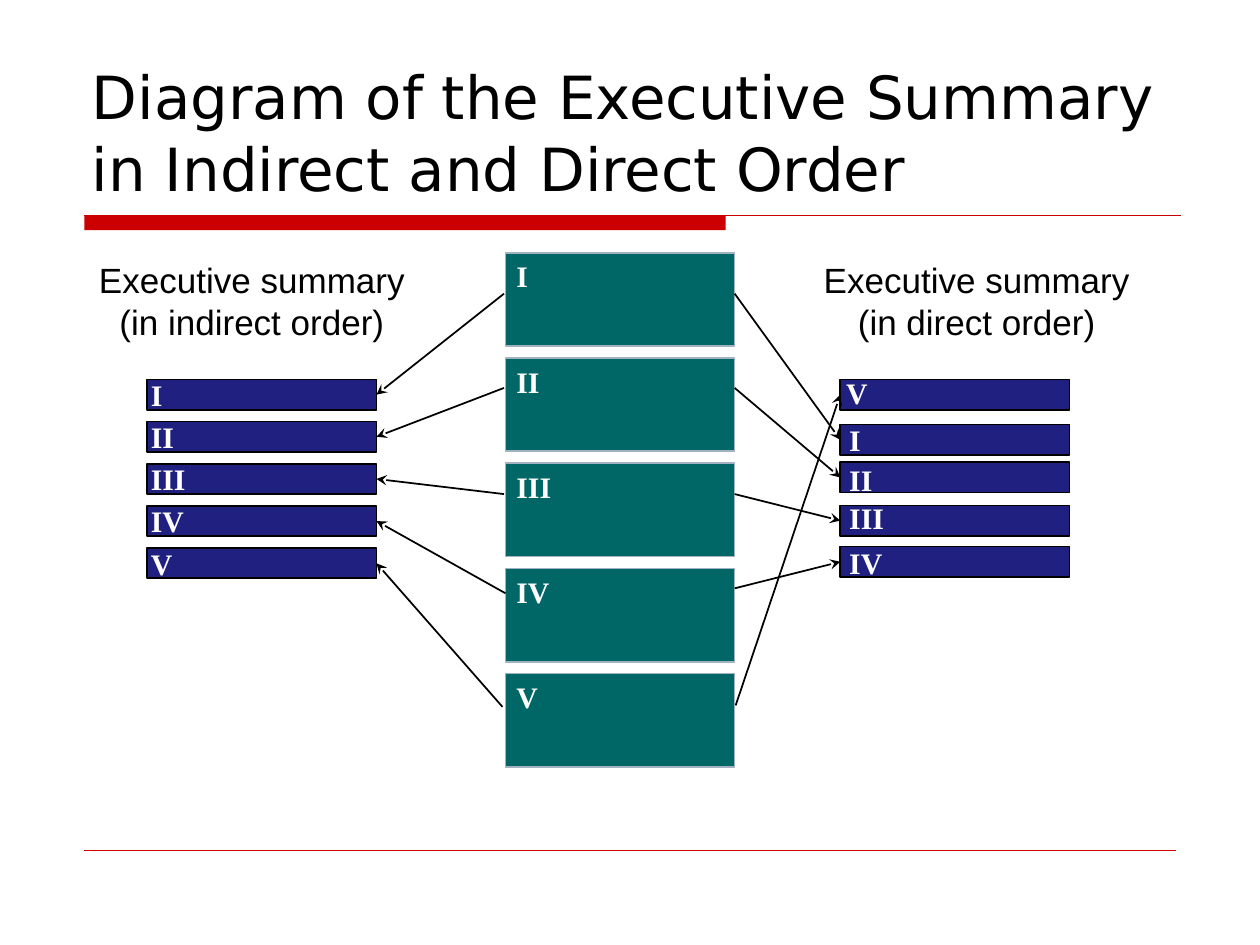
from typing import NamedTuple

from lxml import etree
from pptx import Presentation
from pptx.dml.color import RGBColor
from pptx.enum.shapes import MSO_CONNECTOR, MSO_SHAPE
from pptx.enum.text import MSO_ANCHOR, MSO_AUTO_SIZE, PP_ALIGN
from pptx.oxml.ns import qn
from pptx.util import Cm, Pt

STRAIGHT = MSO_CONNECTOR.STRAIGHT
RECTANGLE = MSO_SHAPE.RECTANGLE
BOTTOM = MSO_ANCHOR.BOTTOM
GROW, FIXED = MSO_AUTO_SIZE.SHAPE_TO_FIT_TEXT, MSO_AUTO_SIZE.NONE
LEFT, CENTER = PP_ALIGN.LEFT, PP_ALIGN.CENTER
LEFT_SIDE, RIGHT_SIDE = 1, 3

COLORS = {
    "rule": "CC0000",
    "report": "006666",
    "report_edge": "A3B2C1",
    "summary": "202080",
    "ink": "000000",
    "numeral": "FFFFFF",
}
NUMERALS = ["I", "II", "III", "IV", "V"]
SECTION_WIDTH, REPORT_HEIGHT, SUMMARY_HEIGHT = 4.62, 1.88, 0.61
REPORT_STEP, SUMMARY_STEP = 2.12, 0.85


class Section(NamedTuple):
    """A numbered block; lengths in centimetres."""
    numeral: str
    left: float
    top: float
    label_left: float
    label_top: float


class Arrow(NamedTuple):
    """Runs from a point beside the report to a summary section."""
    numeral: str
    start_x: float
    start_y: float


REPORT = [
    Section(numeral, 10.19, 5.1 + i * REPORT_STEP, 10.16, 5.08 + i * REPORT_STEP)
    for i, numeral in enumerate(NUMERALS)
]
INDIRECT = [
    Section(numeral, 2.97, 7.65 + i * SUMMARY_STEP, 2.79, 7.47 + i * SUMMARY_STEP)
    for i, numeral in enumerate(NUMERALS)
]
DIRECT = [
    Section("V", 16.94, 7.65, 16.81, 7.44),
    Section("I", 16.94, 8.56, 16.87, 8.38),
    Section("II", 16.94, 9.32, 16.87, 9.19),
    Section("III", 16.94, 10.19, 16.87, 9.96),
    Section("IV", 16.94, 11.02, 16.87, 10.85),
]
TO_INDIRECT = [
    Arrow("I", 10.16, 5.92),
    Arrow("II", 10.16, 7.82),
    Arrow("III", 10.16, 9.96),
    Arrow("IV", 10.19, 11.96),
    Arrow("V", 10.13, 14.25),
]
TO_DIRECT = [
    Arrow("V", 14.83, 14.22),
    Arrow("IV", 14.81, 11.86),
    Arrow("III", 14.81, 9.96),
    Arrow("II", 14.81, 7.82),
    Arrow("I", 14.81, 5.92),
]


def rgb(name: str) -> RGBColor:
    return RGBColor.from_string(COLORS[name])


def write(frame, text: str, *, font: str, size: float, color: str = "ink",
          bold: bool = False, align=LEFT, before: float = 0, auto_size=GROW) -> None:
    frame.word_wrap = True
    frame.auto_size = auto_size
    paragraph = frame.paragraphs[0]
    paragraph.text = text
    paragraph.alignment = align
    paragraph.space_before = Pt(before)
    for run in paragraph.runs:
        run.font.name = font
        run.font.size = Pt(size)
        run.font.bold = bold
        run.font.color.rgb = rgb(color)


def add_box(slide, left: float, top: float, width: float, height: float,
            fill: str, edge: str | None = None):
    box = slide.shapes.add_shape(RECTANGLE, Cm(left), Cm(top), Cm(width), Cm(height))
    box.shadow.inherit = False
    box.fill.solid()
    box.fill.fore_color.rgb = rgb(fill)
    if edge:
        box.line.color.rgb = rgb(edge)
        box.line.width = Pt(1)
    else:
        box.line.fill.background()
    return box


def add_line(slide, x1: float, y1: float, x2: float, y2: float,
             color: str, weight: float):
    line = slide.shapes.add_connector(STRAIGHT, Cm(x1), Cm(y1), Cm(x2), Cm(y2))
    line.line.color.rgb = rgb(color)
    line.line.width = Pt(weight)
    etree.SubElement(line._element.spPr, qn("a:effectLst"))
    return line


def add_sections(slide, sections: list[Section], height: float,
                 fill: str, edge: str) -> dict:
    """Draw numbered blocks and return them by numeral."""
    boxes = {}
    for section in sections:
        boxes[section.numeral] = add_box(
            slide, section.left, section.top, SECTION_WIDTH, height, fill, edge)
    for section in sections:
        label = slide.shapes.add_textbox(
            Cm(section.label_left), Cm(section.label_top), Cm(1.9), Cm(0.97))
        write(label.text_frame, section.numeral, font="Times New Roman", size=17,
              color="numeral", bold=True, before=10.6)
    return boxes


def add_arrows(slide, arrows: list[Arrow], targets: dict, side: int) -> None:
    for arrow in arrows:
        line = add_line(slide, arrow.start_x, arrow.start_y,
                        arrow.start_x, arrow.start_y, "ink", 1)
        line.end_connect(targets[arrow.numeral], side)
        etree.SubElement(line.line._get_or_add_ln(), qn("a:tailEnd"), type="stealth")


def add_heading(slide, text: str, left: float) -> None:
    heading = slide.shapes.add_textbox(Cm(left), Cm(5.08), Cm(7.62), Cm(1.96))
    write(heading.text_frame, text, font="Arial", size=20, align=CENTER, before=12.5)


def main() -> None:
    deck = Presentation()
    deck.slide_width, deck.slide_height = Cm(25.4), Cm(19.05)
    slide = deck.slides.add_slide(deck.slide_layouts[5])

    add_box(slide, 1.7, 4.34, 12.93, 0.3, "rule")
    add_line(slide, 1.7, 4.34, 23.8, 4.34, "rule", 0.75)
    add_line(slide, 1.7, 17.15, 23.7, 17.15, "rule", 0.25)

    title = slide.shapes.title
    title.left, title.top, title.width, title.height = Cm(1.6), Cm(0.84), Cm(22.23), Cm(3.38)
    title.text_frame.vertical_anchor = BOTTOM
    write(title.text_frame, "Diagram of the Executive Summary in Indirect and Direct Order",
          font="DejaVu Sans", size=34, auto_size=FIXED)

    add_sections(slide, REPORT, REPORT_HEIGHT, "report", "report_edge")
    indirect = add_sections(slide, INDIRECT, SUMMARY_HEIGHT, "summary", "ink")
    direct = add_sections(slide, DIRECT, SUMMARY_HEIGHT, "summary", "ink")
    add_heading(slide, "Executive summary\n(in indirect order)", 1.27)
    add_heading(slide, "Executive summary\n(in direct order)", 15.88)
    add_arrows(slide, TO_INDIRECT, indirect, RIGHT_SIDE)
    add_arrows(slide, TO_DIRECT, direct, LEFT_SIDE)

    deck.save("out.pptx")


if __name__ == "__main__":
    main()
